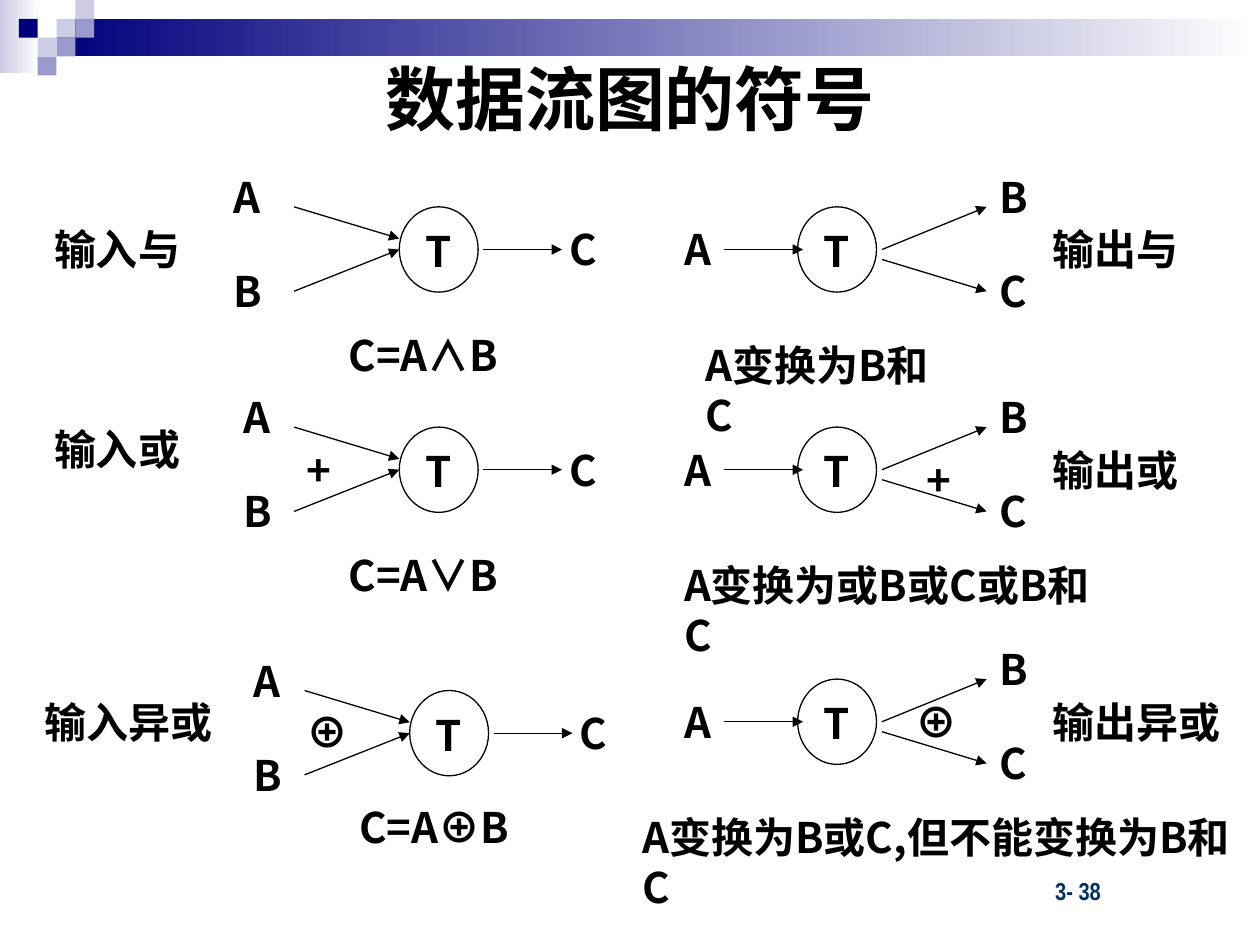
from lxml import etree
from pptx import Presentation
from pptx.dml.color import RGBColor
from pptx.enum import shapes, text
from pptx.oxml import ns
from pptx.util import Cm, Pt

COLORS = {
    "ink": "000000",
    "white": "FFFFFF",
    "navy": "00007D",
    "violet": "9999CC",
    "lilac": "CCCCE6",
    "page": "003162",
}
CJK_FONT = "Noto Sans CJK SC"
GRID = 0.38
LINE_HEIGHT = 1.27

INPUTS = [
    dict(at=(8.05, 4.17), name="输入与", name_at=(0.84, 4.39), letters_dx=-3.6,
         operator="", operator_at=(0, 0), formula="C=A∧B", formula_dy=2.34),
    dict(at=(8.05, 8.61), name="输入或", name_at=(0.84, 8.41), letters_dx=-3.4,
         operator="+", operator_at=(-2.13, 0.22), formula="C=A∨B", formula_dy=2.34),
    dict(at=(8.26, 13.92), name="输入异或", name_at=(0.64, 13.92), letters_dx=-3.4,
         operator="⊕", operator_at=(-2.34, 0.2), formula="C=A⊕B", formula_dy=2.11),
]
OUTPUTS = [
    dict(at=(16.08, 4.17), name="输出与", operator="", operator_at=(0, 0),
         rule="A变换为B和C", rule_dx=-2.11, rule_width=5.51),
    dict(at=(16.08, 8.61), name="输出或", operator="+", operator_at=(2.34, 0.43),
         rule="A变换为或B或C或B和C", rule_dx=-2.54, rule_width=9.09),
    dict(at=(16.08, 13.69), name="输出异或", operator="⊕", operator_at=(2.13, 0.22),
         rule="A变换为B或C,但不能变换为B和C", rule_dx=-3.38, rule_width=12.7),
]


def rgb(color):
    return RGBColor.from_string(COLORS[color])


def write(frame, words, size=24, font=CJK_FONT, color="ink", align=None):
    frame.text = words
    paragraph = frame.paragraphs[0]
    paragraph.alignment = align
    run = paragraph.runs[0]
    run.font.size = Pt(size)
    run.font.bold = True
    run.font.name = font
    run.font.color.rgb = rgb(color)
    east_asian = etree.SubElement(run.font._element, ns.qn("a:ea"))
    east_asian.set("typeface", CJK_FONT)


def add_label(slide, words, x, y, width=1.48, height=LINE_HEIGHT):
    label = slide.shapes.add_textbox(Cm(x), Cm(y), Cm(width), Cm(height))
    label.text_frame.word_wrap = True
    label.text_frame.auto_size = text.MSO_AUTO_SIZE.SHAPE_TO_FIT_TEXT
    write(label.text_frame, words)


def add_arrow(slide, origin, start, end):
    x, y = origin
    arrow = slide.shapes.add_connector(
        shapes.MSO_CONNECTOR.STRAIGHT,
        Cm(x + start[0]), Cm(y + start[1]), Cm(x + end[0]), Cm(y + end[1]))
    arrow.line.color.rgb = rgb("ink")
    arrow.line.width = Pt(0.75)
    head = etree.SubElement(arrow.line._get_or_add_ln(), ns.qn("a:tailEnd"))
    head.set("type", "triangle")
    etree.SubElement(arrow._element.spPr, ns.qn("a:effectLst"))


def add_transform(slide, origin):
    circle = slide.shapes.add_shape(
        shapes.MSO_SHAPE.OVAL, Cm(origin[0]), Cm(origin[1]), Cm(1.59), Cm(1.72))
    circle.shadow.inherit = False
    circle.fill.background()
    circle.line.color.rgb = rgb("ink")
    circle.line.width = Pt(0.75)
    circle.text_frame.vertical_anchor = text.MSO_ANCHOR.TOP
    write(circle.text_frame, "T", align=text.PP_ALIGN.CENTER)


def add_block(slide, x, y, width, height, color, fades=False):
    block = slide.shapes.add_shape(
        shapes.MSO_SHAPE.RECTANGLE, Cm(x), Cm(y), Cm(width), Cm(height))
    block.shadow.inherit = False
    block.line.fill.background()
    if fades:
        block.fill.gradient()
        block.fill.gradient_angle = 180
        for stop, shade in zip(block.fill.gradient_stops, ("white", color)):
            stop.color.rgb = rgb(shade)
    else:
        block.fill.solid()
        block.fill.fore_color.rgb = rgb(color)


def add_banner(slide):
    add_block(slide, 0, 0, 0.79, 1.47, "lilac", fades=True)
    add_block(slide, 3 * GRID, GRID, 25.4 - 3 * GRID, 2 * GRID, "navy", fades=True)
    squares = [(3, 1, "lilac"), (4, 0, "lilac"), (4, 1, "violet"), (2, 2, "lilac"),
               (1, 1, "navy"), (3, 2, "violet"), (2, 3, "violet")]
    for column, row, color in squares:
        add_block(slide, column * GRID, row * GRID, GRID, GRID, color)


def add_title(slide):
    title = slide.shapes.title
    title.left, title.top, title.width, title.height = Cm(1.27), Cm(1.27), Cm(22.86), Cm(3.05)
    frame = title.text_frame
    frame.vertical_anchor = text.MSO_ANCHOR.MIDDLE
    frame.margin_bottom = Cm(1.8)
    write(frame, "数据流图的符号", 40, "Arial", align=text.PP_ALIGN.CENTER)


def add_page_number(slide):
    number = slide.shapes.add_textbox(Cm(18.49), Cm(17.53), Cm(5.28), Cm(0.84))
    number.text_frame.word_wrap = True
    number.text_frame.margin_left = Cm(2.78)
    write(number.text_frame, "3- 38", 14, "Arial Narrow", "page")


def add_input(slide, at, name, name_at, letters_dx, operator, operator_at, formula, formula_dy):
    x, y = at
    add_arrow(slide, at, (-2.12, 0), (0, 0.64))
    add_arrow(slide, at, (-2.12, 1.7), (0, 0.86))
    add_arrow(slide, at, (1.69, 0.86), (3.28, 0.86))
    add_transform(slide, at)
    add_label(slide, "A", x + letters_dx, y - 0.84)
    add_label(slide, "B", x + letters_dx, y + 1.06)
    add_label(slide, "C", x + 3.18, y + 0.22)
    add_label(slide, name, *name_at, width=4.65)
    add_label(slide, formula, x - 1.27, y + formula_dy, width=4.65)
    if operator:
        add_label(slide, operator, x + operator_at[0], y + operator_at[1])


def add_output(slide, at, name, operator, operator_at, rule, rule_dx, rule_width):
    x, y = at
    add_arrow(slide, at, (1.7, 1.06), (3.81, 1.7))
    add_arrow(slide, at, (1.7, 0.86), (3.81, 0))
    add_transform(slide, at)
    add_arrow(slide, at, (-1.48, 0.86), (0.11, 0.86))
    add_label(slide, "A", x - 2.54, y + 0.22)
    add_label(slide, "B", x + 3.81, y - 0.84)
    add_label(slide, "C", x + 3.81, y + 1.06)
    add_label(slide, name, x + 4.88, y + 0.22, width=4.44)
    add_label(slide, rule, x + rule_dx, y + 2.54, rule_width, height=2.29)
    if operator:
        add_label(slide, operator, x + operator_at[0], y + operator_at[1])


def main():
    deck = Presentation()
    deck.slide_width, deck.slide_height = Cm(25.4), Cm(19.05)
    slide = deck.slides.add_slide(deck.slide_layouts[5])
    add_banner(slide)
    add_title(slide)
    add_page_number(slide)
    for diagram in INPUTS:
        add_input(slide, **diagram)
    for diagram in OUTPUTS:
        add_output(slide, **diagram)
    deck.save("out.pptx")


if __name__ == "__main__":
    main()
